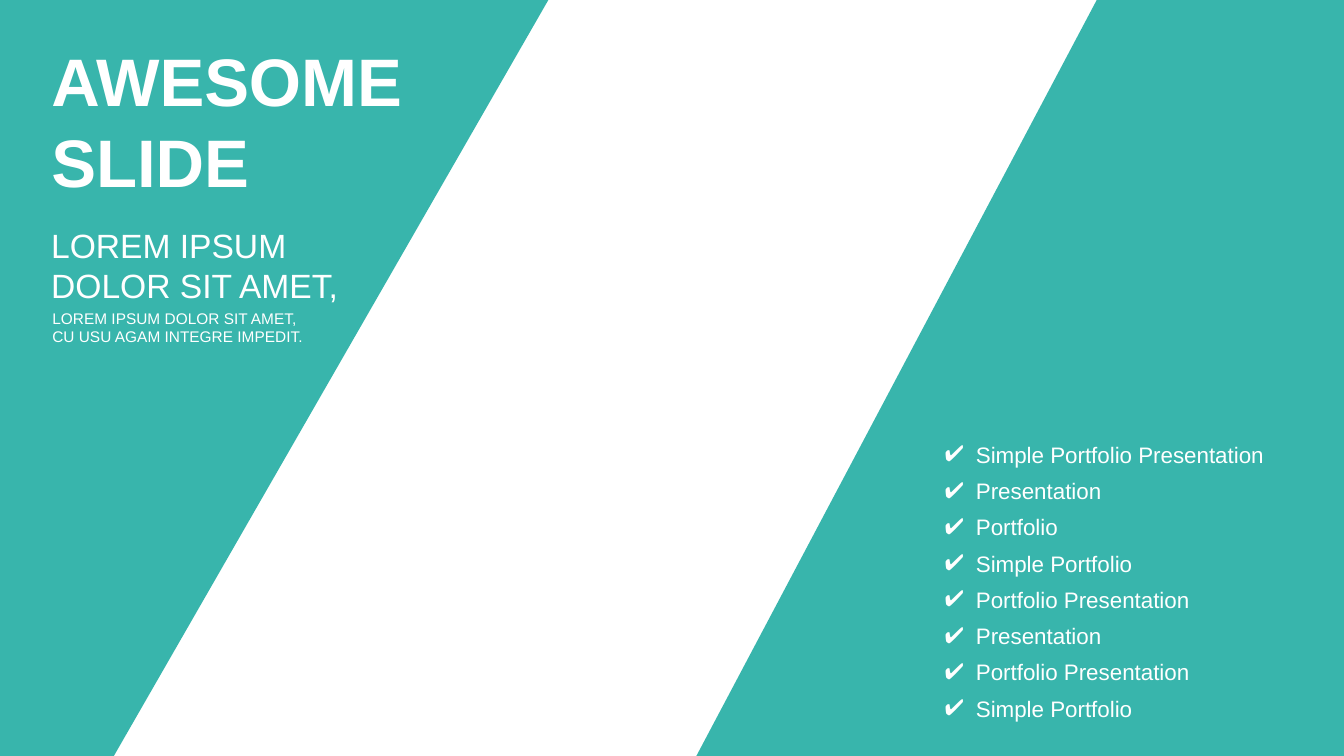
from dataclasses import dataclass

import pptx
import pptx.dml.color
import pptx.enum.text
import pptx.oxml
import pptx.oxml.ns
import pptx.util
from pptx.util import Cm, Pt


@dataclass(frozen=True)
class Theme:
    font: str = "Arial"
    band: str = "07A398"
    text: str = "FFFFFF"
    band_opacity: int = 80
    title_size: float = 48
    subtitle_size: float = 24
    detail_size: float = 11
    list_size: float = 16


THEME = Theme()
WIDTH, HEIGHT = 33.87, 19.05

TITLE = ["AWESOME", "SLIDE"]
SUBTITLE = ["LOREM IPSUM", "DOLOR SIT AMET,"]
DETAIL = ["LOREM IPSUM DOLOR SIT AMET,", "CU USU AGAM INTEGRE IMPEDIT."]
CHECKLIST = [
    "Simple Portfolio Presentation",
    "Presentation",
    "Portfolio",
    "Simple Portfolio",
    "Portfolio Presentation",
    "Presentation",
    "Portfolio Presentation",
    "Simple Portfolio",
]
BANDS = [
    [(0, 0), (13.82, 0), (2.87, HEIGHT), (0, HEIGHT)],
    [(27.64, 0), (WIDTH, 0), (WIDTH, HEIGHT), (17.55, HEIGHT)],
]
TITLE_BOX = (1.04, 0.84, 9.91, 4.37)
SUBTITLE_BOX = (1.04, 5.54, 9.91, 2.31)
DETAIL_BOX = (1.07, 7.65, 9.91, 1.19)
CHECKLIST_BOX = (23.55, 11.18, 9.12, 7.06)
CHECK_INDENT = Cm(0.79)


def add_band(slide, corners):
    points = [(Cm(x), Cm(y)) for x, y in corners]
    builder = slide.shapes.build_freeform(*points[0])
    builder.add_line_segments(points[1:], close=True)
    band = builder.convert_to_shape()
    band.shadow.inherit = False
    band.line.fill.background()
    band.fill.solid()
    band.fill.fore_color.rgb = pptx.dml.color.RGBColor.from_string(THEME.band)
    color = band.element.spPr.find(".//" + pptx.oxml.ns.qn("a:srgbClr"))
    alpha = pptx.oxml.parse_xml(
        f'<a:alpha {pptx.oxml.ns.nsdecls("a")} val="{THEME.band_opacity * 1000}"/>')
    color.append(alpha)
    return band


def add_check(paragraph):
    properties = paragraph._p.get_or_add_pPr()
    properties.set("marL", str(CHECK_INDENT))
    properties.set("indent", str(-CHECK_INDENT))
    namespace = pptx.oxml.ns.nsdecls("a")
    for bullet in (
        f'<a:buClr {namespace}><a:srgbClr val="{THEME.text}"/></a:buClr>',
        f'<a:buChar {namespace} char="✔"/>',
    ):
        properties.append(pptx.oxml.parse_xml(bullet))


def write(holder, box, lines, size, spacing, gap=0, bold=False, checked=False):
    holder.left, holder.top, holder.width, holder.height = map(Cm, box)
    frame = holder.text_frame
    frame.text = "\n".join(lines)
    frame.word_wrap = True
    frame.auto_size = pptx.enum.text.MSO_AUTO_SIZE.NONE
    frame.vertical_anchor = pptx.enum.text.MSO_ANCHOR.MIDDLE
    for index, paragraph in enumerate(frame.paragraphs):
        if checked:
            add_check(paragraph)
        paragraph.alignment = pptx.enum.text.PP_ALIGN.LEFT
        paragraph.line_spacing = spacing
        paragraph.space_before = Pt(gap if index else 0)
        for run in paragraph.runs:
            run.font.name = THEME.font
            run.font.size = Pt(size)
            run.font.bold = bold
            run.font.color.rgb = pptx.dml.color.RGBColor.from_string(THEME.text)


def main():
    deck = pptx.Presentation()
    deck.slide_width, deck.slide_height = Cm(WIDTH), Cm(HEIGHT)
    slide = deck.slides.add_slide(deck.slide_layouts[1])
    title, checklist = slide.shapes.title, slide.placeholders[1]

    for corners in BANDS:
        title.element.addprevious(add_band(slide, corners).element)

    write(title, TITLE_BOX, TITLE, THEME.title_size, Pt(58), bold=True)
    for box, lines, size, spacing in (
        (DETAIL_BOX, DETAIL, THEME.detail_size, Pt(13)),
        (SUBTITLE_BOX, SUBTITLE, THEME.subtitle_size, Pt(28.5)),
    ):
        write(slide.shapes.add_textbox(*map(Cm, box)), box, lines, size, spacing)
    write(checklist, CHECKLIST_BOX, CHECKLIST, THEME.list_size, 0.8,
          gap=10.55, checked=True)

    deck.save("out.pptx")


if __name__ == "__main__":
    main()
